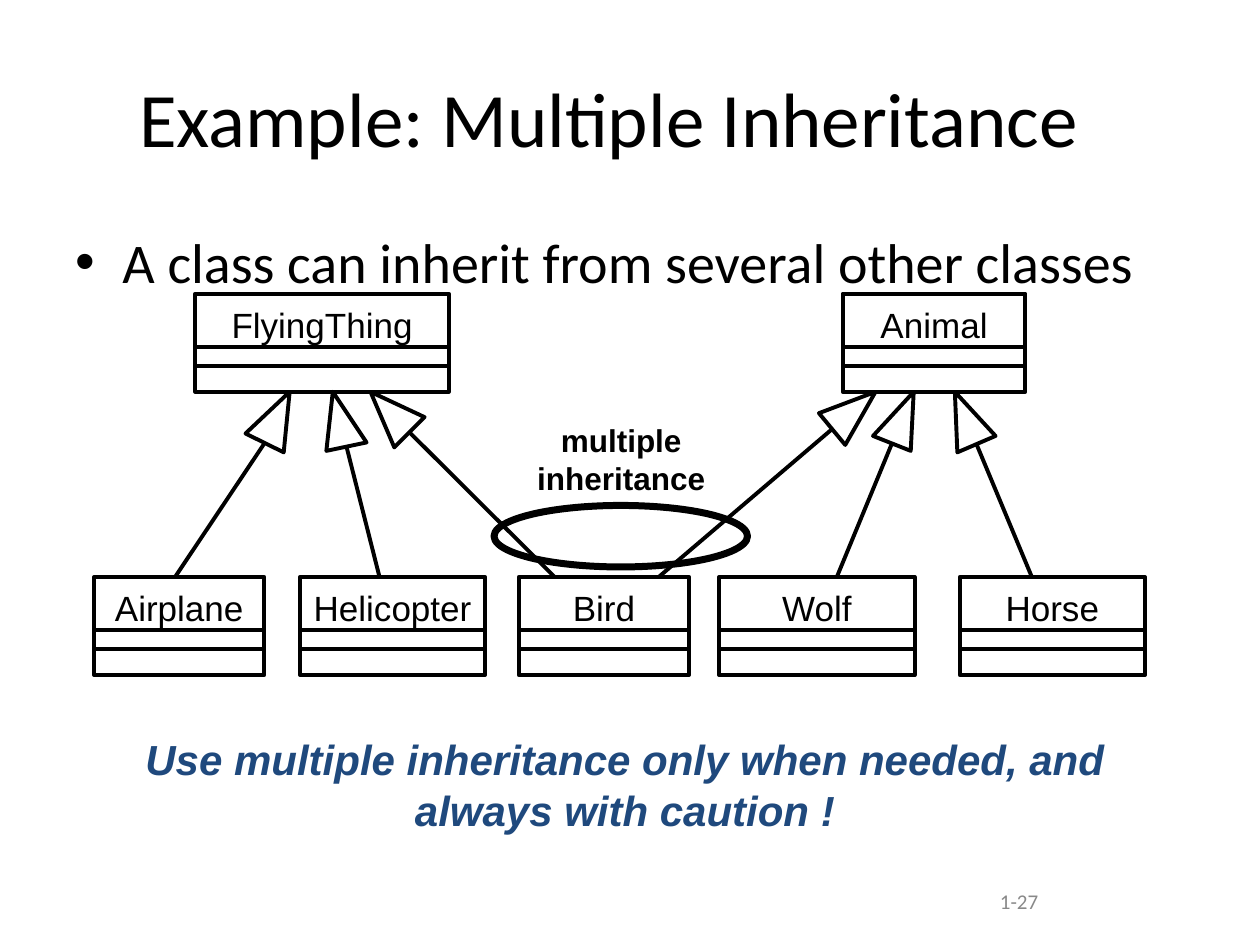
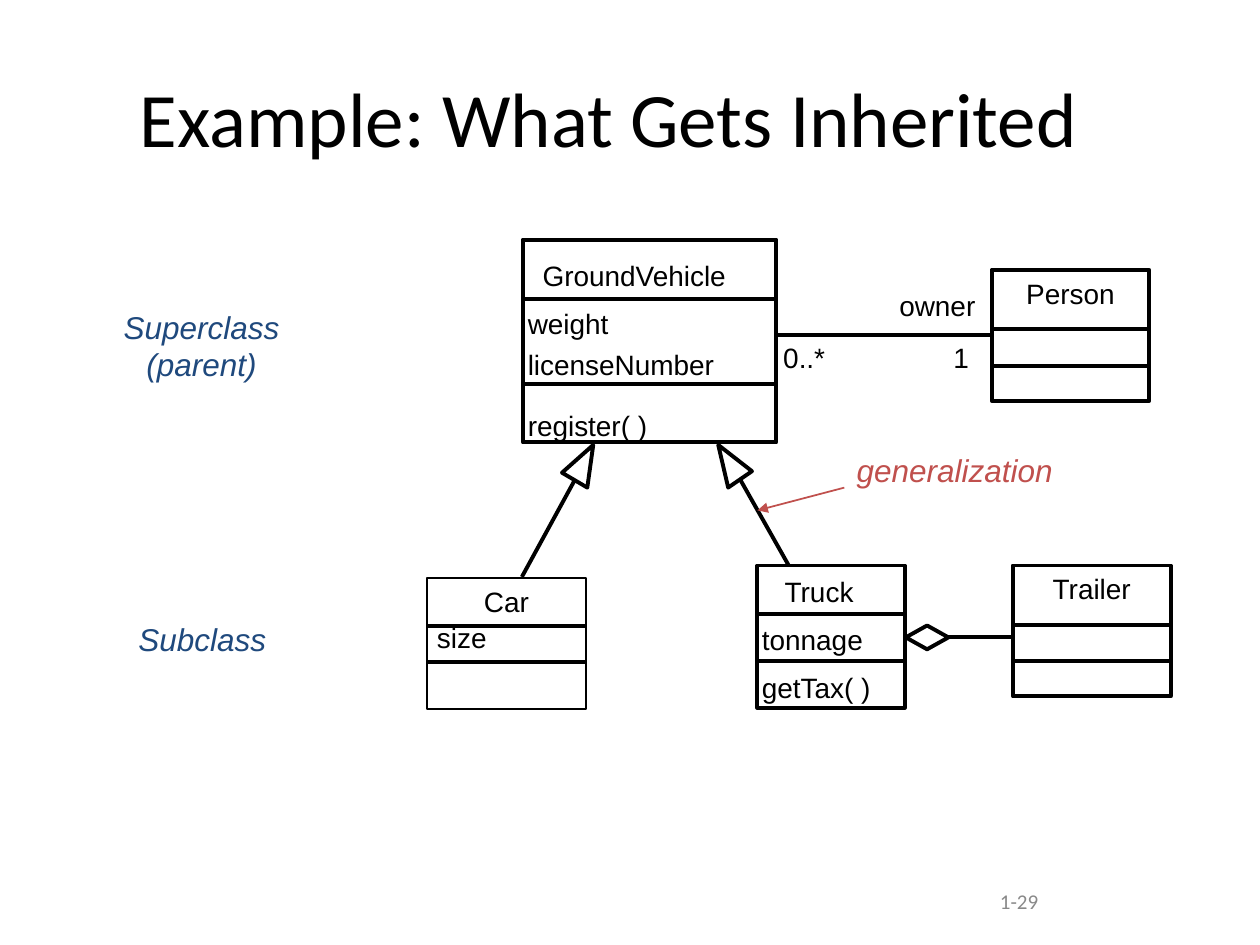
from lxml import etree
from pptx import Presentation
from pptx.dml.color import RGBColor
from pptx.enum.shapes import MSO_CONNECTOR, MSO_SHAPE
from pptx.enum.text import MSO_ANCHOR, PP_ALIGN
from pptx.oxml.ns import qn
from pptx.util import Cm, Pt

RECTANGLE, ELLIPSE, DIAMOND = MSO_SHAPE.RECTANGLE, MSO_SHAPE.OVAL, MSO_SHAPE.DIAMOND
STRAIGHT = MSO_CONNECTOR.STRAIGHT
LEFT, CENTER, RIGHT = PP_ALIGN.LEFT, PP_ALIGN.CENTER, PP_ALIGN.RIGHT
TOP, MIDDLE = MSO_ANCHOR.TOP, MSO_ANCHOR.MIDDLE

BLACK, BLUE, RED, GREY = "000000", "1F497D", "C0504D", "898989"
STROKE = 2.25
BLANK_LAYOUT = 6

TITLE = {"name": "Calibri", "size": Pt(44)}
BODY = {"name": "Calibri", "size": Pt(32)}
FOOTER = {"name": "Calibri", "size": Pt(12)}
LARGE_NAME = {"name": "Arial", "size": Pt(20)}
MEMBER = {"name": "Arial", "size": Pt(16)}
CALLOUT = {"name": "Arial", "size": Pt(18), "bold": True}
ROLE = {"name": "Arial", "size": Pt(18), "italic": True}
ADVICE = {"name": "Arial", "size": Pt(24), "bold": True, "italic": True}


def write(shape, text, font_format, color=BLACK, align=LEFT, wrap=False, anchor=TOP, top=0.13):
    """Fill a shape with one paragraph per line of text and return the frame."""
    frame = shape.text_frame
    frame_format = {"word_wrap": wrap, "vertical_anchor": anchor, "margin_top": Cm(top)}
    for key, value in frame_format.items():
        setattr(frame, key, value)
    for number, line in enumerate(text.split("\n")):
        paragraph = frame.add_paragraph() if number else frame.paragraphs[0]
        paragraph.alignment = align
        run = paragraph.add_run()
        run.text = line
        run.font.color.rgb = RGBColor.from_string(color)
        for key, value in font_format.items():
            setattr(run.font, key, value)
    return frame


def draw_line(slide, start, end, color=BLACK, width=STROKE):
    line = slide.shapes.add_connector(STRAIGHT, *map(Cm, start + end))
    line.line.color.rgb = RGBColor.from_string(color)
    line.line.width = Pt(width)
    etree.SubElement(line._element.spPr, qn("a:effectLst"))
    return line


# Classes: name, left, top, width, height, offsets of the two dividers, outline width
# Generalizations: foot of the line, then the triangle with its tip first
# Labels: text, left, top, width, height, then the text settings
small_class_height, small_dividers = 1.98, (1.07, 1.46)
multiple_inheritance = {
    "title": "Example: Multiple Inheritance",
    "number": "1-27",
    "name_format": LARGE_NAME,
    "name_top": 0.19,
    "classes": [
        (name, left, top, width, small_class_height, small_dividers, STROKE)
        for name, left, top, width in [
            ("FlyingThing", 3.94, 5.92, 5.11),
            ("Animal", 16.99, 5.92, 3.68),
            ("Airplane", 1.9, 11.63, 3.43),
            ("Helicopter", 6.05, 11.63, 3.73),
            ("Bird", 10.46, 11.63, 3.43),
            ("Wolf", 14.5, 11.63, 3.94),
            ("Horse", 19.35, 11.63, 3.73),
        ]
    ],
    "generalizations": [
        ((3.53, 11.63), [(5.84, 7.9), (5.72, 9.12), (4.95, 8.74)]),
        ((7.65, 11.63), [(6.71, 7.9), (7.39, 8.92), (6.58, 9.09)]),
        ((11.18, 11.63), [(7.47, 7.9), (8.56, 8.41), (7.95, 9.02)]),
        ((13.28, 11.63), [(17.65, 7.9), (17.04, 8.97), (16.51, 8.33)]),
        ((16.87, 11.63), [(18.42, 7.9), (18.36, 9.09), (17.6, 8.79)]),
        ((20.8, 11.63), [(19.25, 7.9), (20.07, 8.79), (19.3, 9.12)]),
    ],
    "marks": [(ELLIPSE, (9.96, 10.19, 5.11, 1.24), 4)],
    "labels": [
        ("multiple\ninheritance", 10.57, 8.36, 3.91, 1.78,
         {"font_format": CALLOUT, "align": CENTER}),
        ("Use multiple inheritance only when needed, and\nalways with caution !",
         1.07, 14.66, 23.06, 2.29,
         {"font_format": ADVICE, "color": BLUE, "align": CENTER, "wrap": True}),
    ],
}

member_height = 0.94
what_gets_inherited = {
    "title": "Example: What Gets Inherited",
    "number": "1-29",
    "name_format": MEMBER,
    "name_top": 0.13,
    "classes": [
        ("", 10.54, 4.83, 5.11, 4.09, (1.19, 2.92), STROKE),
        ("", 15.27, 11.4, 2.97, 2.87, (0.97, 1.93), STROKE),
        ("Car", 8.61, 11.66, 3.2, 2.64, (0.96, 1.68), 1),
        ("Person", 19.99, 5.44, 3.18, 2.64, (1.19, 1.93), STROKE),
        ("Trailer", 20.42, 11.4, 3.18, 2.64, (1.19, 1.93), STROKE),
    ],
    "generalizations": [
        ((10.52, 11.63), [(11.96, 8.97), (11.84, 9.83), (11.33, 9.53)]),
        ((15.9, 11.4), [(14.48, 8.97), (15.16, 9.5), (14.68, 9.83)]),
    ],
    "marks": [(DIAMOND, (18.26, 12.61, 0.86, 0.48), STROKE)],
    "labels": [
        (text, left, top, width, member_height, {"font_format": MEMBER})
        for text, left, top, width in [
            ("GroundVehicle", 10.69, 5.08, 4.24),
            ("weight", 10.39, 6.05, 2.13),
            ("licenseNumber", 10.39, 6.88, 4.27),
            ("register( )", 10.39, 8.1, 2.92),
            ("Truck", 15.57, 11.46, 1.93),
            ("tonnage", 15.11, 12.42, 2.54),
            ("getTax( )", 15.11, 13.39, 2.77),
            ("size", 8.56, 12.37, 1.6),
            ("owner", 17.88, 5.69, 2.06),
            ("0..*", 15.54, 6.73, 1.37),
            ("1", 18.97, 6.73, 0.84),
        ]
    ] + [
        ("Superclass (parent)", 2.21, 6.07, 3.71, 1.78,
         {"font_format": ROLE, "color": BLUE, "align": CENTER, "wrap": True}),
        ("Subclass", 1.83, 12.37, 4.5, 1.02,
         {"font_format": ROLE, "color": BLUE, "align": CENTER, "wrap": True}),
        ("generalization", 17.02, 8.97, 5.77, 1.02,
         {"font_format": ROLE, "color": RED, "wrap": True}),
    ],
}

deck = Presentation()
deck.slide_width, deck.slide_height = Cm(25.4), Cm(19.05)

slides = []
for content in (multiple_inheritance, what_gets_inherited):
    slide = deck.slides.add_slide(deck.slide_layouts[BLANK_LAYOUT])
    slides.append(slide)
    outlined = []

    for name, left, top, width, height, dividers, stroke in content["classes"]:
        class_box = slide.shapes.add_shape(RECTANGLE, Cm(left), Cm(top), Cm(width), Cm(height))
        outlined.append((class_box, stroke))
        if name:
            write(class_box, name, content["name_format"], align=CENTER, top=content["name_top"])
        for offset in dividers:
            draw_line(slide, (left, top + offset), (left + width, top + offset))

    for foot, triangle in content["generalizations"]:
        tip, *base = triangle
        base_middle = tuple(sum(axis) / 2 for axis in zip(*base))
        draw_line(slide, foot, base_middle)
        builder = slide.shapes.build_freeform(Cm(tip[0]), Cm(tip[1]))
        builder.add_line_segments([(Cm(x), Cm(y)) for x, y in base], close=True)
        outlined.append((builder.convert_to_shape(), STROKE))

    for kind, place, stroke in content["marks"]:
        outlined.append((slide.shapes.add_shape(kind, *map(Cm, place)), stroke))

    for shape, stroke in outlined:
        shape.shadow.inherit = False
        shape.fill.background()
        shape.line.color.rgb = RGBColor.from_string(BLACK)
        shape.line.width = Pt(stroke)

    labels = content["labels"] + [
        (content["title"], 1.27, 0.76, 22.02, 3.18,
         {"font_format": TITLE, "align": CENTER, "wrap": True, "anchor": MIDDLE}),
        (content["number"], 18.21, 17.65, 2.97, 1.02,
         {"font_format": FOOTER, "color": GREY, "align": RIGHT, "wrap": True, "anchor": MIDDLE}),
    ]
    for text, left, top, width, height, settings in labels:
        label = slide.shapes.add_textbox(Cm(left), Cm(top), Cm(width), Cm(height))
        write(label, text, **settings)

multiple_slide, inherited_slide = slides

# Bulleted statement above the multiple inheritance diagram
statement = multiple_slide.shapes.add_textbox(Cm(1.27), Cm(4.45), Cm(22.86), Cm(12.57))
statement_frame = write(
    statement, "A class can inherit from several other classes", BODY, wrap=True)
bullet_properties = statement_frame.paragraphs[0]._p.get_or_add_pPr()
bullet_properties.set("marL", str(Cm(0.95)))
bullet_properties.set("indent", str(-Cm(0.95)))
etree.SubElement(bullet_properties, qn("a:buFont"), typeface="Arial")
etree.SubElement(bullet_properties, qn("a:buChar"), char="•")

# Owner association, trailer aggregation and the pointer to the generalization
draw_line(inherited_slide, (15.67, 6.76), (19.99, 6.76))
draw_line(inherited_slide, (19.12, 12.85), (20.42, 12.85))
pointer = draw_line(inherited_slide, (17.02, 9.83), (15.27, 10.29), RED, 1)
etree.SubElement(pointer.line._get_or_add_ln(), qn("a:tailEnd"), type="triangle")

deck.save("out.pptx")
